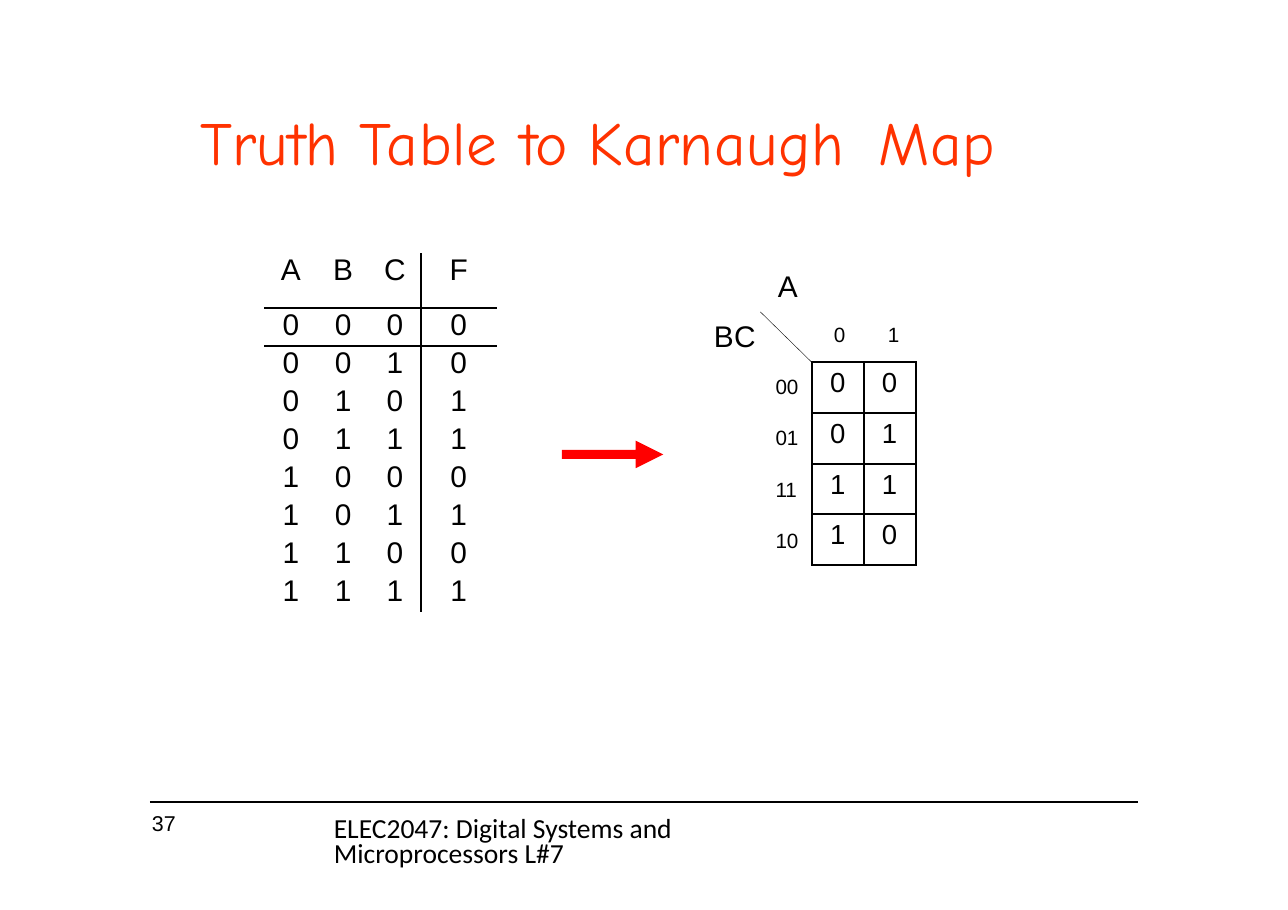
from lxml import etree
from pptx import Presentation
from pptx.dml.color import RGBColor as RGB
from pptx.enum.shapes import MSO_CONNECTOR as CONN, MSO_SHAPE as SHAPE
from pptx.enum.text import PP_ALIGN as AL
from pptx.oxml.ns import qn
from pptx.util import Inches, Pt

BLACK = RGB(0, 0, 0)
ORANGE = RGB(0xFF, 0x32, 0x00)
RED = RGB(0xFF, 0, 0)
NO_STYLE = "{2D5ABB26-0587-4C30-8999-92F81FD0307C}"


def write(tf, lines, size=19.5, font="Arial", color=BLACK, spacing=0,
          align=AL.LEFT, leading=None, gap=0, tab=None, indent=0.01):
    for i, line in enumerate(lines):
        p = tf.add_paragraph() if i else tf.paragraphs[0]
        p.alignment = align
        pPr = p._p.get_or_add_pPr()
        pPr.set("marL", str(Inches(indent)))
        if leading:
            p.line_spacing = Pt(leading)
        if i:
            p.space_before = Pt(gap)
        if tab:
            tabs = etree.SubElement(pPr, qn("a:tabLst"))
            etree.SubElement(tabs, qn("a:tab"), pos=str(Inches(tab)), algn="l")
        for text, spc in [(line, spacing)] if isinstance(line, str) else line:
            r = p.add_run()
            r.text = text
            f = r.font
            f.size, f.name = Pt(size), font
            f.color.rgb = color
            r._r.get_or_add_rPr().set("spc", str(round(spc * 100)))


def add_text(s, x, y, w, h, lines, wrap=False, top=0.01, **fmt):
    tf = s.shapes.add_textbox(*map(Inches, (x, y, w, h))).text_frame
    tf.word_wrap = wrap
    tf.margin_left = tf.margin_right = tf.margin_bottom = 0
    tf.margin_top = Inches(top)
    write(tf, lines, **fmt)


def add_line(s, x1, y1, x2, y2, width):
    c = s.shapes.add_connector(CONN.STRAIGHT, *map(Inches, (x1, y1, x2, y2)))
    c.line.color.rgb = BLACK
    c.line.width = Pt(width)
    etree.SubElement(c._element.spPr, qn("a:effectLst"))


def set_borders(cell, sides):
    tcPr = cell._tc.get_or_add_tcPr()
    for side in "LRTB":
        if side in sides:
            ln = etree.SubElement(tcPr, qn("a:ln" + side), w=str(Pt(1.5)))
            fill = etree.SubElement(ln, qn("a:solidFill"))
            etree.SubElement(fill, qn("a:srgbClr"), val=str(BLACK))


def add_grid(s, x, y, widths, heights, rows, borders, top=0, **fmt):
    box = map(Inches, (x, y, sum(widths), sum(heights)))
    table = s.shapes.add_table(len(rows), len(widths), *box).table
    table.first_row = table.horz_banding = False
    table._tbl.tblPr.find(qn("a:tableStyleId")).text = NO_STYLE
    for col, w in zip(table.columns, widths):
        col.width = Inches(w)
    for i, values in enumerate(rows):
        table.rows[i].height = Inches(heights[i])
        for j, value in enumerate(values):
            cell = table.cell(i, j)
            cell.margin_left = cell.margin_right = cell.margin_bottom = 0
            cell.margin_top = Inches(top)
            set_borders(cell, borders(i, j))
            cell.fill.background()
            write(cell.text_frame, [value], align=AL.CENTER, indent=0, **fmt)


def truth_borders(i, j):
    sides = {2: "R", 3: "L"}.get(j, "")
    return sides + {0: "B", 1: "T"}.get(i, "")


def add_title(s, x, y, w, h):
    runs = [("Truth ", 0.1), ("Table ", 0.6), ("to ", -0.1),
            ("Karnaugh", 0.4), (" ", 8.5), ("Map", 0.6)]
    add_text(s, x, y, w, h, [runs], wrap=True, top=0.02, size=40,
             font="Comic Neue", color=ORANGE)


def add_truth_table(s, x, y, w, h):
    inputs, header = 0.47, 0.5
    widths = [0.48, inputs, inputs, w - 0.48 - 2 * inputs]
    heights = [header] + [(h - header) / 8] * 8
    rows = ["ABCF"] + [f"{n:03b}{f}" for n, f in enumerate("00110101")]
    add_grid(s, x, y, widths, heights, rows, truth_borders)


def add_arrow(s, x, y, w, h):
    sp = s.shapes.add_shape(SHAPE.RIGHT_ARROW, *map(Inches, (x, y, w, h)))
    sp.adjustments[0], sp.adjustments[1] = 0.33, 1
    sp.shadow.inherit = False
    sp.fill.solid()
    sp.fill.fore_color.rgb = RED
    sp.line.fill.background()


def add_karnaugh_map(s, x, y, w, h):
    add_text(s, x - 0.32, y - 0.87, 0.21, 0.35, ["A"])
    add_text(s, x - 0.9, y - 0.42, 0.41, 0.35, ["BC"], spacing=0.2)
    add_text(s, x + 0.19, y - 0.38, 0.9, 0.25, ["0\t1"], wrap=True,
             size=13.5, tab=0.49)
    add_text(s, x - 0.34, y + 0.09, 0.23, 1.62, ["00", "01", "11", "10"],
             size=13.5, spacing=-0.1, gap=17.5)
    add_line(s, x - 0.47, y - 0.46, x, y, 0.25)
    add_grid(s, x, y, [w / 2] * 2, [h / 4] * 4, ["00", "01", "11", "10"],
             lambda i, j: "LRTB", top=0.05, size=18)


def add_footer(s, x, y, w):
    add_line(s, x, y, x + w, y, 0.75)
    add_text(s, x, y + 0.08, 0.27, 0.25, ["37"], top=0, size=14,
             leading=16.5, indent=0.02)
    add_text(s, x + 1.66, y + 0.15, 4.7, 0.25,
             ["ELEC2047: Digital Systems and Microprocessors L#7"],
             wrap=True, top=0, size=18, font="Calibri", leading=16.5)


def main():
    prs = Presentation()
    prs.slide_width, prs.slide_height = Inches(11.69), Inches(8.26)
    s = prs.slides.add_slide(prs.slide_layouts[6])
    add_title(s, 1.81, 0.93, 8.08, 0.69)
    add_truth_table(s, 2.4, 2.3, 2.11, 3.26)
    add_arrow(s, 5.1, 4.0, 0.92, 0.25)
    add_karnaugh_map(s, 7.37, 3.29, 0.94, 1.84)
    add_footer(s, 1.36, 7.28, 8.97)
    prs.save("out.pptx")


if __name__ == "__main__":
    main()
